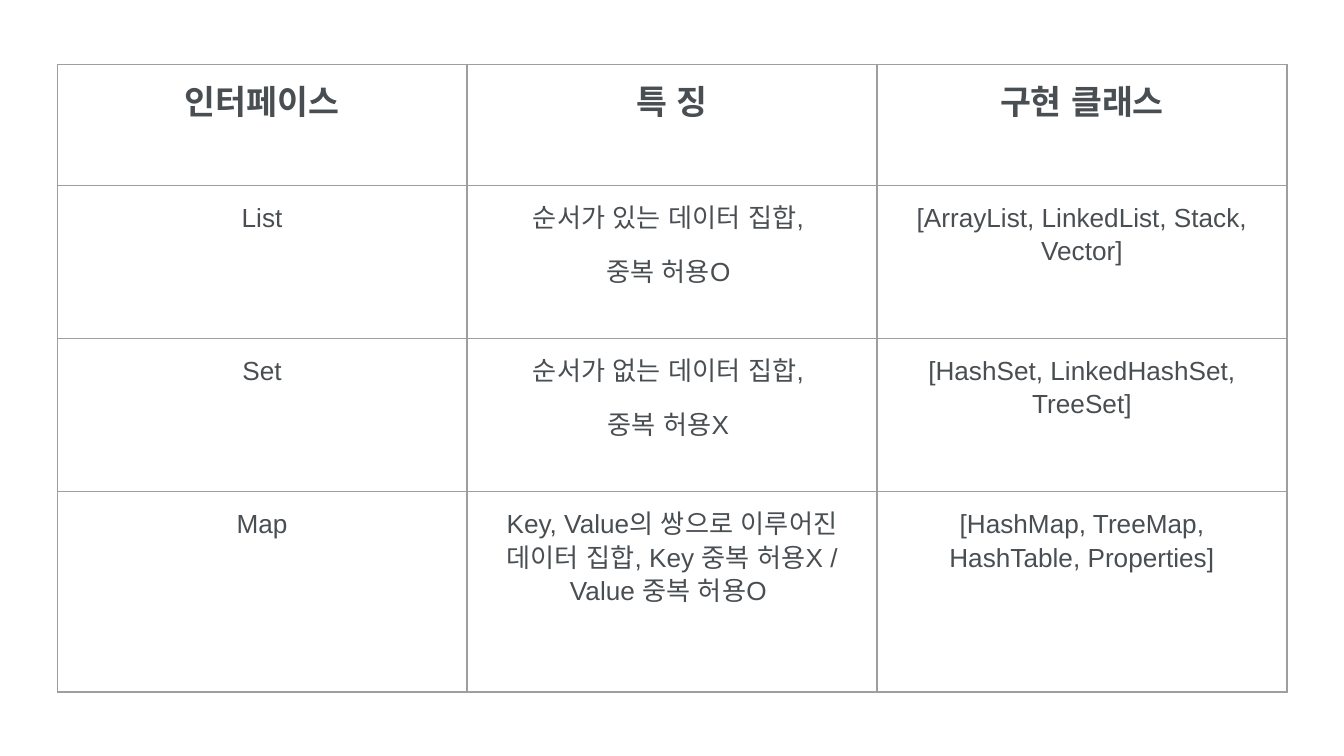
from lxml import etree
from pptx import Presentation
from pptx.dml.color import RGBColor
from pptx.enum.text import PP_ALIGN
from pptx.oxml.ns import qn
from pptx.util import Emu, Pt

CENTER = PP_ALIGN.CENTER
INK = RGBColor(0x49, 0x4E, 0x52)
GRID = RGBColor(0x9E, 0x9E, 0x9E)
WHITE = RGBColor(0xFF, 0xFF, 0xFF)

FONT = "Arial"
SCALE = 4572  # EMU in one px, 200 px to the inch
WIDTH, HEIGHT = 2000, 1125
LEFT, TOP, COL, PAD = 85, 96, 610, 20
HEIGHTS = [180, 228, 228, 298]

# Each cell is a list of paragraphs
ROWS = [
    [["인터페이스"], ["특 징"], ["구현 클래스"]],
    [["List"],
     ["순서가 있는 데이터 집합, ", "중복 허용O "],
     ["[ArrayList, LinkedList, Stack, Vector]"]],
    [["Set"],
     ["순서가 없는 데이터 집합, ", "중복 허용X "],
     ["[HashSet, LinkedHashSet, TreeSet]"]],
    [["Map"],
     ["Key, Value의 쌍으로 이루어진 데이터 집합, "
      "Key 중복 허용X / Value 중복 허용O "],
     ["[HashMap, TreeMap, HashTable, Properties]"]],
]


def px(n):
    return Emu(n * SCALE)


def write(frame, lines, size=14, bold=False, color=INK, gap=11):
    """Fill a text frame with centred paragraphs, spaced by gap points."""
    frame.word_wrap = True
    for i, line in enumerate(lines):
        para = frame.paragraphs[0] if i == 0 else frame.add_paragraph()
        para.alignment = CENTER
        para.line_spacing = 1.15
        para.space_before = Pt(gap if i else 0)
        para.space_after = Pt(gap if i == len(lines) - 1 else 0)
        run = para.add_run()
        run.text = line
        font = run.font
        font.name, font.size, font.bold = FONT, Pt(size), bold
        font.color.rgb = color
        # Same face for Korean and complex scripts
        for tag in ("a:ea", "a:cs"):
            etree.SubElement(run._r.get_or_add_rPr(), qn(tag), typeface=FONT)


def border(cell, color=GRID, width=0.75):
    """Draw a solid line on all four sides of a cell."""
    props = cell._tc.get_or_add_tcPr()
    for side in ("lnL", "lnR", "lnT", "lnB"):
        line = etree.SubElement(props, qn(f"a:{side}"), w=str(Pt(width)))
        fill = etree.SubElement(line, qn("a:solidFill"))
        etree.SubElement(fill, qn("a:srgbClr"), val=str(color))


def style(cell):
    cell.margin_left = cell.margin_right = px(PAD)
    cell.margin_top = cell.margin_bottom = px(PAD)
    border(cell)
    cell.fill.solid()
    cell.fill.fore_color.rgb = WHITE


def grid(slide, rows):
    count = len(rows[0])
    frame = slide.shapes.add_table(len(rows), count, px(LEFT), px(TOP),
                                   px(COL * count), px(sum(HEIGHTS)))
    table = frame.table
    table.first_row = table.horz_banding = False
    for col in table.columns:
        col.width = px(COL)
    for r, (row, height) in enumerate(zip(rows, HEIGHTS)):
        table.rows[r].height = px(height)
        head = r == 0
        for c, lines in enumerate(row):
            cell = table.cell(r, c)
            style(cell)
            write(cell.text_frame, lines, size=18 if head else 14, bold=head)


def main():
    deck = Presentation()
    deck.slide_width, deck.slide_height = px(WIDTH), px(HEIGHT)
    slide = deck.slides.add_slide(deck.slide_layouts[6])

    # Table of collection interfaces
    grid(slide, ROWS)
    deck.save("out.pptx")


if __name__ == "__main__":
    main()
